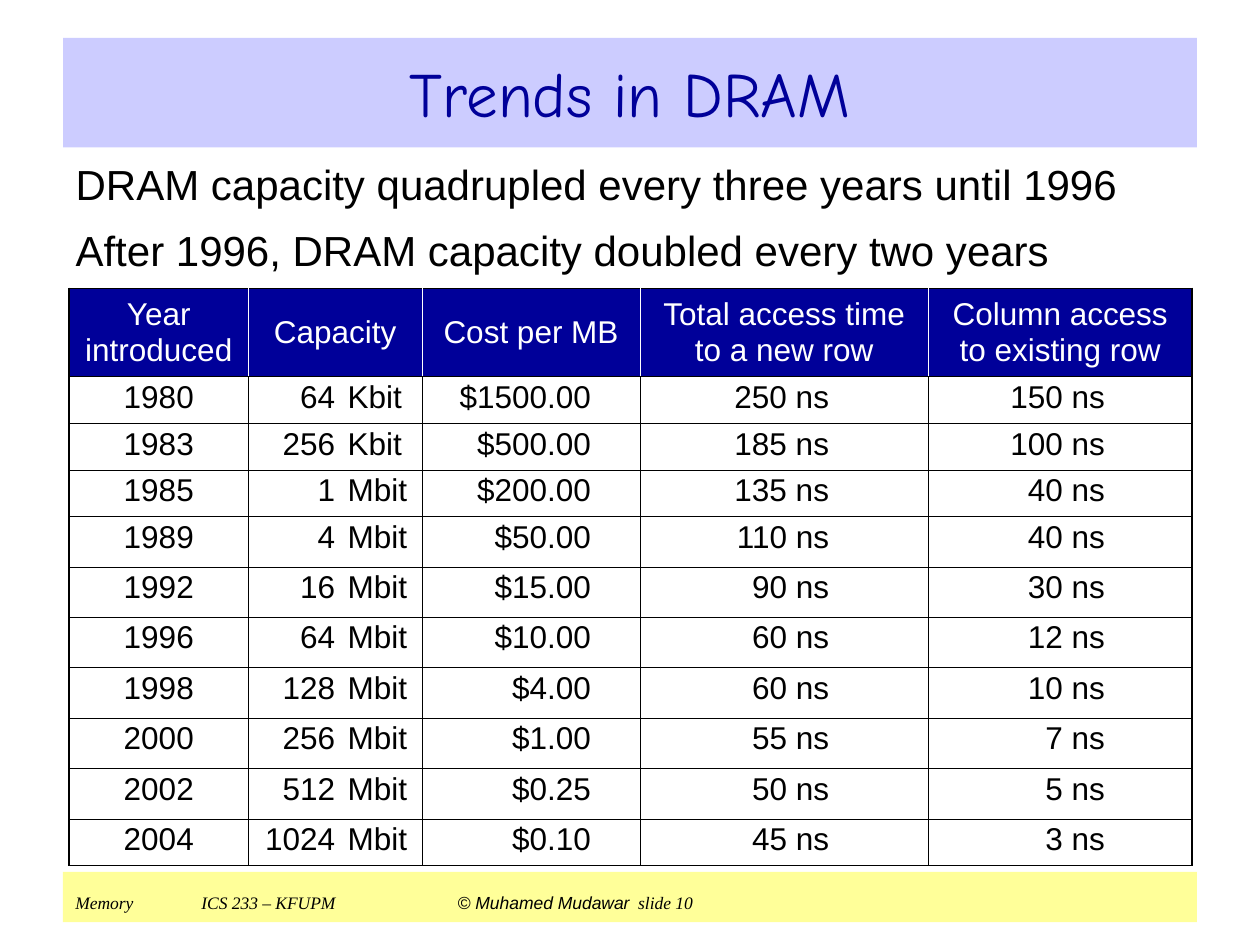
from pptx import Presentation
from pptx.dml.color import RGBColor
from pptx.enum.shapes import MSO_SHAPE as Shape
from pptx.enum.text import MSO_ANCHOR as Anchor, MSO_AUTO_SIZE as AutoSize, PP_ALIGN as Align
from pptx.oxml.ns import qn
from pptx.util import Inches, Pt
from lxml.etree import SubElement

# Content
TITLE = "Trends in DRAM"
STATEMENTS = [
    "DRAM capacity quadrupled every three years until 1996",
    "After 1996, DRAM capacity doubled every two years",
]
HEADERS = ["Year introduced", "Capacity", "Cost per MB",
           "Total access time to a new row", "Column access to existing row"]
# Year, capacity, unit, cost per MB, new row time (ns), existing row time (ns)
TRENDS = [
    (1980, 64, "Kbit", "$1500.00", 250, 150),
    (1983, 256, "Kbit", "$500.00", 185, 100),
    (1985, 1, "Mbit", "$200.00", 135, 40),
    (1989, 4, "Mbit", "$50.00", 110, 40),
    (1992, 16, "Mbit", "$15.00", 90, 30),
    (1996, 64, "Mbit", "$10.00", 60, 12),
    (1998, 128, "Mbit", "$4.00", 60, 10),
    (2000, 256, "Mbit", "$1.00", 55, 7),
    (2002, 512, "Mbit", "$0.25", 50, 5),
    (2004, 1024, "Mbit", "$0.10", 45, 3),
]
SERIF = {"font": "Times New Roman", "size": 10, "italic": True}
FOOTER = [
    ("Memory\tICS 233 – KFUPM\t ", SERIF),
    ("© Muhamed Mudawar", {"size": 10, "italic": True}),
    (" ", {"size": 18}),
    ("slide 10", SERIF),
]

# Layout and colours
LEFT, WIDTH = 0.5, 9
COLUMN_WIDTHS = [1.42, 1.38, 1.73, 2.29, 2.09]
ROW_HEIGHTS = [0.7] + [0.37] * 3 + [0.4] * 6 + [0.37]
COLUMN_ALIGNS = [Align.CENTER, Align.LEFT, Align.RIGHT, Align.RIGHT, Align.RIGHT]
RIGHT_MARGINS = [0.1, 0.1, 0.39, 0.79, 0.69]
CAPACITY_TABS = [(0.59, "r"), (0.69, "l")]
FOOTER_TABS = [(1, "l"), (3, "l")]
THIN, THICK = 0.45, 1.08
BLACK, WHITE, NAVY = "000000", "FFFFFF", "000099"
LAVENDER, YELLOW = "CCCCFF", "FFFF99"


def paint(target, color):
    target.solid()
    target.fore_color.rgb = RGBColor.from_string(color)


def write(paragraph, text, font="Arial", size=18, color=BLACK, italic=False,
          align=Align.LEFT, before=0, spacing=1.0):
    paragraph.alignment = align
    paragraph.space_before = Pt(before)
    paragraph.line_spacing = spacing
    run = paragraph.add_run()
    run.text = text
    run.font.name, run.font.size, run.font.italic = font, Pt(size), italic
    paint(run.font.fill, color)


def place(shape, top, height):
    shape.left, shape.top = Inches(LEFT), Inches(top)
    shape.width, shape.height = Inches(WIDTH), Inches(height)
    shape.text_frame.auto_size = AutoSize.NONE
    shape.text_frame.word_wrap = True


def set_tabs(paragraph, tabs):
    tab_list = SubElement(paragraph._p.get_or_add_pPr(), qn("a:tabLst"))
    for position, kind in tabs:
        SubElement(tab_list, qn("a:tab"), pos=str(Inches(position)), algn=kind)


def set_border(cell, side, color, width):
    line = SubElement(cell._tc.get_or_add_tcPr(), qn(f"a:ln{side}"), w=str(Pt(width)))
    fill = SubElement(line, qn("a:solidFill"))
    SubElement(fill, qn("a:srgbClr"), val=color)


def set_borders(cell, row, column):
    last_row, last_column = len(ROW_HEIGHTS) - 1, len(COLUMN_WIDTHS) - 1
    outer = {"L": column == 0, "R": column == last_column,
             "T": row == 0, "B": row == last_row}
    for side, is_outer in outer.items():
        header_divider = row == 0 and side in "LR" and not is_outer
        set_border(cell, side, WHITE if header_divider else BLACK,
                   THICK if is_outer else THIN)


presentation = Presentation()
presentation.slide_width, presentation.slide_height = Inches(10), Inches(7.5)
slide = presentation.slides.add_slide(presentation.slide_layouts[1])
title, body = slide.placeholders

# Footer band
footer = slide.shapes.add_shape(Shape.RECTANGLE, 0, 0, 0, 0)
place(footer, 6.92, 0.4)
footer.shadow.inherit = False
paint(footer.fill, YELLOW)
footer.line.fill.background()
footer.text_frame.vertical_anchor = Anchor.TOP
footer_line = footer.text_frame.paragraphs[0]
for text, style in FOOTER:
    write(footer_line, text, before=6.2, **style)
set_tabs(footer_line, FOOTER_TABS)

# Title band
place(title, 0.3, 0.87)
paint(title.fill, LAVENDER)
title.text_frame.vertical_anchor = Anchor.MIDDLE
write(title.text_frame.paragraphs[0], TITLE, font="Comic Neue", size=36,
      color=NAVY, align=Align.CENTER)

# Statements
place(body, 1.21, 1.04)
for index, statement in enumerate(STATEMENTS):
    frame = body.text_frame
    paragraph = frame.add_paragraph() if index else frame.paragraphs[0]
    write(paragraph, statement, size=24, before=9)
    properties = paragraph._p.get_or_add_pPr()
    properties.set("marL", str(Inches(0.38)))
    properties.set("indent", str(Inches(-0.38)))
    SubElement(properties, qn("a:buNone"))

# Table
rows = [HEADERS] + [
    [str(year), f"\t{capacity}\t{unit}", cost, f"{new_row} ns", f"{same_row} ns"]
    for year, capacity, unit, cost, new_row, same_row in TRENDS
]
table = slide.shapes.add_table(
    len(rows), len(HEADERS), Inches(0.55), Inches(2.29),
    Inches(sum(COLUMN_WIDTHS)), Inches(sum(ROW_HEIGHTS))).table
table.first_row = table.horz_banding = False
for column, width in zip(table.columns, COLUMN_WIDTHS):
    column.width = Inches(width)
for row, height in zip(table.rows, ROW_HEIGHTS):
    row.height = Inches(height)

for row, texts in enumerate(rows):
    for column, text in enumerate(texts):
        cell = table.cell(row, column)
        paragraph = cell.text_frame.paragraphs[0]
        set_borders(cell, row, column)
        if row == 0:
            paint(cell.fill, NAVY)
            cell.vertical_anchor = Anchor.MIDDLE
            write(paragraph, text, color=WHITE, align=Align.CENTER, before=9)
            continue
        cell.fill.background()
        cell.margin_right = Inches(RIGHT_MARGINS[column])
        write(paragraph, text, align=COLUMN_ALIGNS[column], spacing=0.9)
        if column == 1:
            set_tabs(paragraph, CAPACITY_TABS)

presentation.save("out.pptx")
